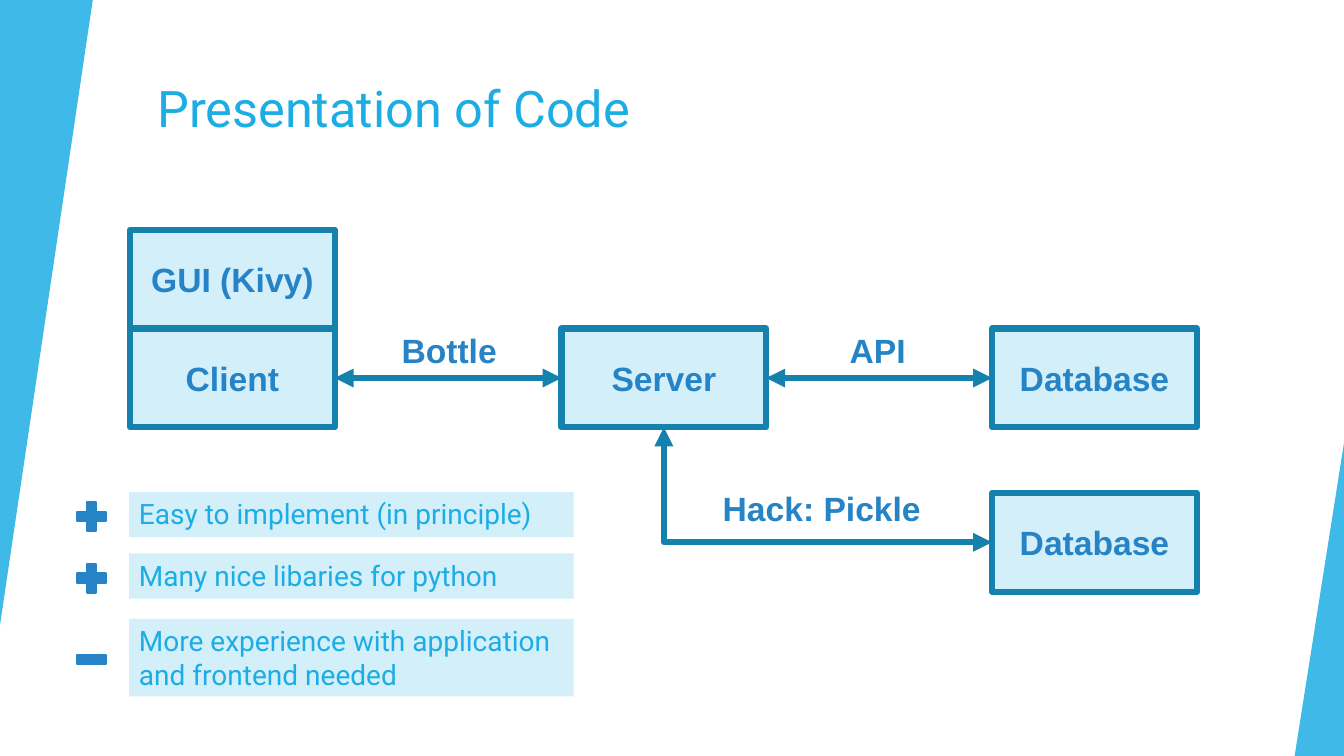
"""Build the code overview slide with its client, server and database diagram."""
from typing import NamedTuple

from lxml import etree
from pptx import Presentation
from pptx.dml.color import RGBColor
from pptx.enum.shapes import MSO_CONNECTOR, MSO_SHAPE
from pptx.enum.text import MSO_ANCHOR, MSO_AUTO_SIZE, PP_ALIGN
from pptx.oxml.ns import qn
from pptx.shapes.autoshape import Shape
from pptx.shapes.connector import Connector
from pptx.slide import Slide
from pptx.util import Inches, Pt

RECT, WEDGE = MSO_SHAPE.RECTANGLE, MSO_SHAPE.ISOSCELES_TRIANGLE
PLUS, MINUS = MSO_SHAPE.MATH_PLUS, MSO_SHAPE.MATH_MINUS
STRAIGHT, ELBOW = MSO_CONNECTOR.STRAIGHT, MSO_CONNECTOR.ELBOW
MIDDLE, TOP = MSO_ANCHOR.MIDDLE, MSO_ANCHOR.TOP
CENTER, LEFT = PP_ALIGN.CENTER, PP_ALIGN.LEFT
NO_FIT = MSO_AUTO_SIZE.NONE

SKY = RGBColor(0x1C, 0xAD, 0xE4)
EDGE = RGBColor(0x3E, 0xB9, 0xE8)
PALE = RGBColor(0xD2, 0xEF, 0xFA)
TEAL = RGBColor(0x14, 0x82, 0xAC)
BLUE = RGBColor(0x26, 0x83, 0xC6)

BOX_W, BOX_H = 2.03, 0.98
COL_A, COL_B, COL_C = 1.29, 5.57, 9.84
ROW = 3.26
SITE_LEFT, SITE_BOTTOM, SITE_RIGHT = 1, 2, 3
NOTE_X, NOTE_W = 1.28, 4.41
MARK_X, MARK = 0.71, 0.39


class Style(NamedTuple):
    font: str
    size: int
    color: RGBColor
    bold: bool
    align: PP_ALIGN
    anchor: MSO_ANCHOR


class Box(NamedTuple):
    key: str
    text: str
    x: float
    y: float


class Link(NamedTuple):
    kind: MSO_CONNECTOR
    start: str
    site: int
    end: str


class Label(NamedTuple):
    text: str
    x: float
    y: float
    w: float


class Note(NamedTuple):
    mark: MSO_SHAPE
    text: str
    y: float
    h: float


HEAD = Style("Roboto", 36, SKY, False, LEFT, MIDDLE)
NODE = Style("Arial", 24, BLUE, True, CENTER, MIDDLE)
BODY = Style("Roboto", 20, SKY, False, LEFT, TOP)

BOXES = [
    Box("client", "Client", COL_A, ROW),
    Box("server", "Server", COL_B, ROW),
    Box("gui", "GUI (Kivy)", COL_A, ROW - BOX_H),
    Box("data", "Database", COL_C, ROW),
    Box("store", "Database", COL_C, 4.89),
]
LINKS = [
    Link(STRAIGHT, "client", SITE_RIGHT, "server"),
    Link(STRAIGHT, "server", SITE_RIGHT, "data"),
    Link(ELBOW, "server", SITE_BOTTOM, "store"),
]
LABELS = [
    Label("Bottle", 3.44, 2.98, BOX_W),
    Label("API", 7.69, 2.98, BOX_W),
    Label("Hack: Pickle", 6.96, 4.55, 2.38),
]
NOTES = [
    Note(PLUS, "Easy to implement (in principle)", 4.88, 0.45),
    Note(PLUS, "Many nice libaries for python", 5.49, 0.45),
    Note(MINUS, "More experience with application and frontend needed", 6.14, 0.77),
]


def write(shape: Shape, text: str, style: Style) -> None:
    """Put styled text into a shape."""
    frame = shape.text_frame
    frame.text = text
    frame.word_wrap = True
    frame.auto_size = NO_FIT
    frame.vertical_anchor = style.anchor
    for para in frame.paragraphs:
        para.alignment = style.align
        for run in para.runs:
            run.font.name = style.font
            run.font.size = Pt(style.size)
            run.font.bold = style.bold
            run.font.color.rgb = style.color


def draw(slide: Slide, kind: MSO_SHAPE, x: float, y: float, w: float, h: float,
         fill: RGBColor, line: RGBColor | None = None, width: float = 0) -> Shape:
    """Add a flat filled shape with an optional outline."""
    shape = slide.shapes.add_shape(kind, Inches(x), Inches(y), Inches(w), Inches(h))
    shape.shadow.inherit = False
    shape.fill.solid()
    shape.fill.fore_color.rgb = fill
    if line is None:
        shape.line.fill.background()
    else:
        shape.line.color.rgb = line
        shape.line.width = Pt(width)
    return shape


def turn(wire: Connector) -> None:
    """Make an elbow run down first and then right."""
    x, y, w, h = wire.left, wire.top, wire.width, wire.height
    wire.left, wire.top = x + (w - h) // 2, y + (h - w) // 2
    wire.width, wire.height = h, w
    props = wire._element.spPr
    frame = props.find(qn("a:xfrm"))
    frame.set("rot", "16200000")
    frame.set("flipH", "1")
    props.find(qn("a:prstGeom")).set("prst", "bentConnector2")


def join(slide: Slide, link: Link, nodes: dict[str, Shape]) -> None:
    """Connect two boxes with a double arrow."""
    wire = slide.shapes.add_connector(link.kind, 0, 0, 0, 0)
    wire.begin_connect(nodes[link.start], link.site)
    wire.end_connect(nodes[link.end], SITE_LEFT)
    if link.kind == ELBOW:
        turn(wire)
    wire.line.color.rgb = TEAL
    wire.line.width = Pt(4.5)
    props = wire._element.spPr
    for tag in ("a:headEnd", "a:tailEnd"):
        etree.SubElement(props.find(qn("a:ln")), qn(tag), type="triangle")
    etree.SubElement(props, qn("a:effectLst"))


def main() -> None:
    """Build and save the slide."""
    deck = Presentation()
    deck.slide_width, deck.slide_height = Inches(13.33), Inches(7.5)
    slide = deck.slides.add_slide(deck.slide_layouts[5])

    title = slide.shapes.title
    title.left, title.top = Inches(1.46), Inches(0.67)
    title.width, title.height = Inches(9.4), Inches(0.79)
    write(title, "Presentation of Code", HEAD)

    left = draw(slide, WEDGE, 0, 0, 0.92, 6.2, EDGE)
    left.rotation = 180
    right = draw(slide, WEDGE, 12.84, 4.39, 0.49, 3.11, EDGE)
    for wedge in (left, right):
        wedge.adjustments[0] = 1

    nodes = {}
    for box in BOXES:
        node = draw(slide, RECT, box.x, box.y, BOX_W, BOX_H, PALE, TEAL, 4.5)
        write(node, box.text, NODE)
        nodes[box.key] = node
    for link in LINKS:
        join(slide, link, nodes)
    for label in LABELS:
        area = slide.shapes.add_textbox(
            Inches(label.x), Inches(label.y), Inches(label.w), Inches(BOX_H))
        write(area, label.text, NODE)
    for note in NOTES:
        mid = note.y + (note.h - MARK) / 2 + 0.02
        draw(slide, note.mark, MARK_X, mid, MARK, MARK, BLUE, BLUE, 1.5)
        panel = draw(slide, RECT, NOTE_X, note.y, NOTE_W, note.h, PALE)
        write(panel, note.text, BODY)

    deck.save("out.pptx")


if __name__ == "__main__":
    main()
